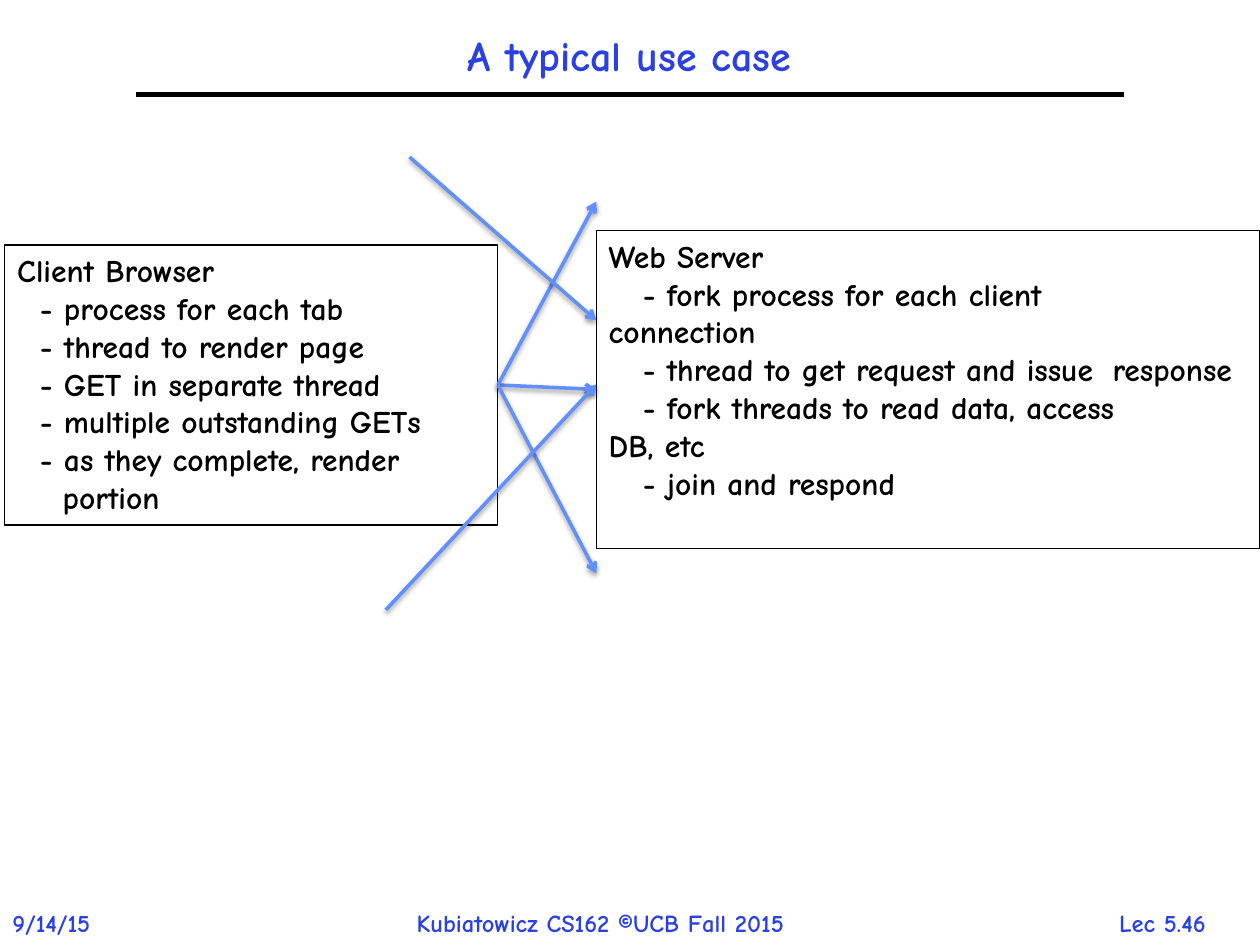
from lxml import etree
from pptx import Presentation
from pptx.dml.color import RGBColor
from pptx.enum.shapes import MSO_CONNECTOR, MSO_SHAPE
from pptx.enum.text import MSO_ANCHOR, PP_ALIGN
from pptx.oxml.ns import qn
from pptx.util import Pt

LINE = MSO_CONNECTOR.STRAIGHT
RECT = MSO_SHAPE.RECTANGLE
TOP, MIDDLE = MSO_ANCHOR.TOP, MSO_ANCHOR.MIDDLE
LEFT, CENTER = PP_ALIGN.LEFT, PP_ALIGN.CENTER
BLUE = RGBColor(0x2A, 0x40, 0xE2)
SKY = RGBColor(0x61, 0x8F, 0xFD)
BLACK = RGBColor(0, 0, 0)
FONT = "Comic Neue"

# Each line: text and first-line indent in points
CLIENT = [
    ("Client Browser", 0),
    ("- process for each tab", 13),
    ("- thread to render page", 13),
    ("- GET in separate thread", 13),
    ("- multiple outstanding GETs", 13),
    ("- as they complete, render", 13),
    ("portion", 26),
]
SERVER = [
    ("Web Server", 0),
    ("- fork process for each client\vconnection", 19.5),
    ("- thread to get request and issue \tresponse", 19.5),
    ("- fork threads to read data, access\vDB, etc", 19.5),
    ("- join and respond", 19.5),
]


def style(para, size, color, align=LEFT):
    para.alignment = align
    for run in para.runs:
        font = run.font
        font.name, font.size, font.bold = FONT, Pt(size), True
        font.color.rgb = color


def add_title(slide, text):
    title = slide.shapes.title
    title.left, title.top = Pt(77.75), Pt(12.25)
    title.width, title.height = Pt(563.75), Pt(41.75)
    frame = title.text_frame
    frame.text = text
    frame.vertical_anchor = MIDDLE
    frame.paragraphs[0].line_spacing = 0.9
    style(frame.paragraphs[0], 24, BLUE, CENTER)


def add_label(slide, text, left, width, align=LEFT):
    box = slide.shapes.add_textbox(Pt(left), Pt(515.5), Pt(width), Pt(24))
    frame = box.text_frame
    frame.text = text
    frame.word_wrap = False
    style(frame.paragraphs[0], 14, BLUE, align)


def add_box(slide, lines, left, top, width, height, wrap):
    box = slide.shapes.add_shape(RECT, Pt(left), Pt(top), Pt(width), Pt(height))
    box.shadow.inherit = False
    box.fill.background()
    box.line.color.rgb = BLACK
    box.line.width = Pt(0.75)
    frame = box.text_frame
    frame.word_wrap = wrap
    frame.vertical_anchor = TOP
    for i, (text, indent) in enumerate(lines):
        para = frame.add_paragraph() if i else frame.paragraphs[0]
        para.text = text
        style(para, 18, BLACK)
        props = para._p.get_or_add_pPr()
        props.set("marL", "0")
        props.set("indent", str(Pt(indent)))
    return box


def add_line(slide, start, end, color, width):
    line = slide.shapes.add_connector(LINE, *map(Pt, start + end))
    line.line.color.rgb = color
    line.line.width = Pt(width)
    etree.SubElement(line._element.spPr, qn("a:effectLst"))
    return line


def add_arrow(slide, start, end):
    line = add_line(slide, start, end, SKY, 2)
    # Arrowhead
    etree.SubElement(line.line._get_or_add_ln(), qn("a:tailEnd"), type="arrow")
    # Soft shadow straight below
    effects = line._element.spPr.find(qn("a:effectLst"))
    shadow = etree.SubElement(
        effects, qn("a:outerShdw"), blurRad=str(Pt(3.1)), dist=str(Pt(1.6)),
        dir="5400000", rotWithShape="0")
    shade = etree.SubElement(shadow, qn("a:srgbClr"), val=str(BLACK))
    etree.SubElement(shade, qn("a:alpha"), val="38000")
    return line


def main():
    prs = Presentation()
    prs.slide_width, prs.slide_height = Pt(720), Pt(540)
    slide = prs.slides.add_slide(prs.slide_layouts[5])

    # Title and rule
    add_title(slide, "A typical use case")
    add_line(slide, (77.75, 54), (642.25, 54), BLACK, 3)

    # Footer
    add_label(slide, "9/14/15", 0, 72)
    add_label(slide, "Kubiatowicz CS162 ©UCB Fall 2015", 231, 260)
    add_label(slide, "Lec 5.46", 620.75, 87, CENTER)

    # Client and server
    client = add_box(slide, CLIENT, 2.75, 140, 281.75, 160, False)
    server = add_box(slide, SERVER, 340.75, 131.75, 379.25, 181.5, True)

    # Requests from this client
    out = (284.5, 220)
    for y in (222.5, 115.25, 327.5):
        arrow = add_arrow(slide, out, (340.75, y))
        arrow.begin_connect(client, 3)
        if y == 222.5:
            arrow.end_connect(server, 1)

    # Requests from other clients
    add_arrow(slide, (220.5, 348.5), (340.75, 219.75))
    add_arrow(slide, (234, 89.75), (340.75, 183))

    prs.save("out.pptx")


if __name__ == "__main__":
    main()
